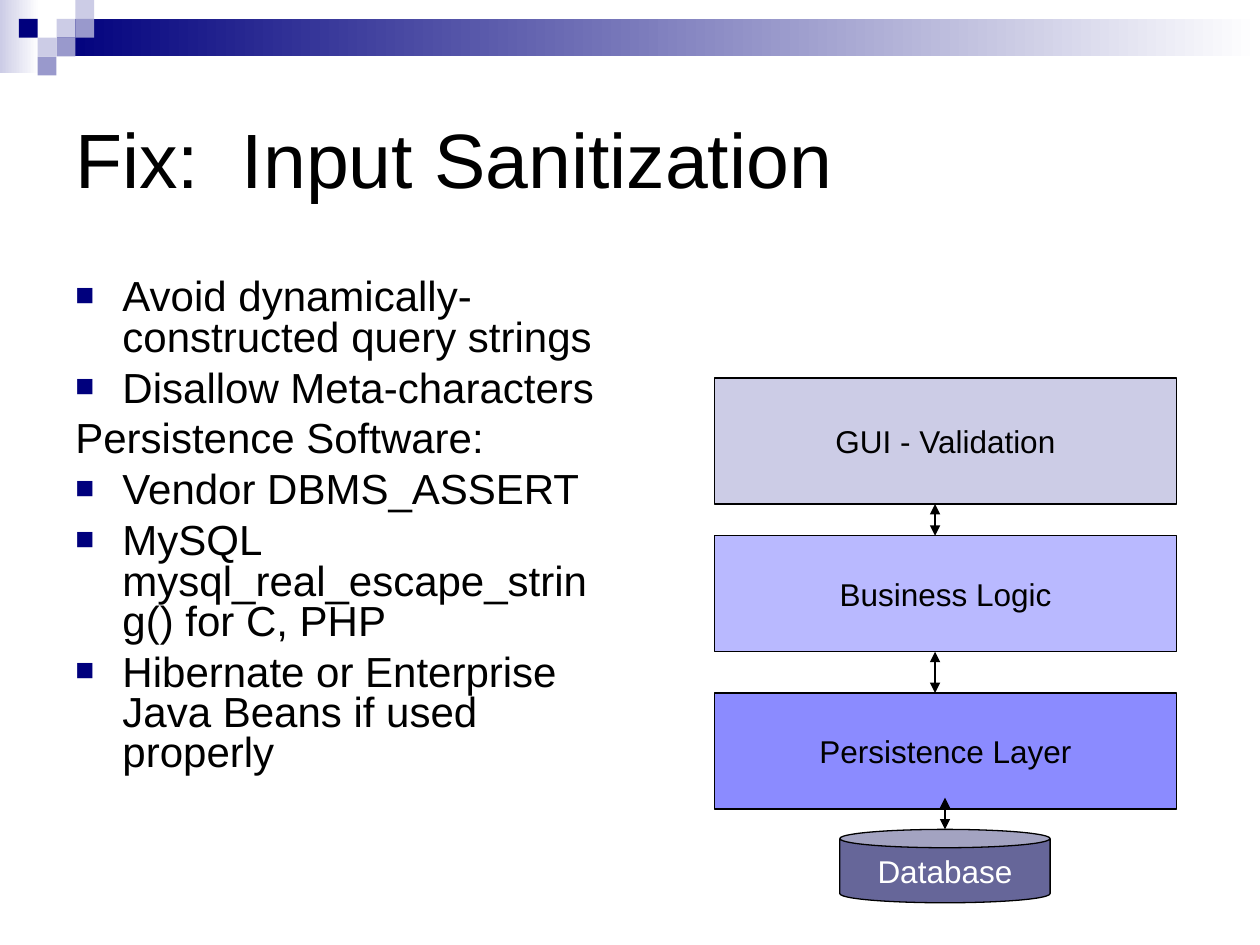
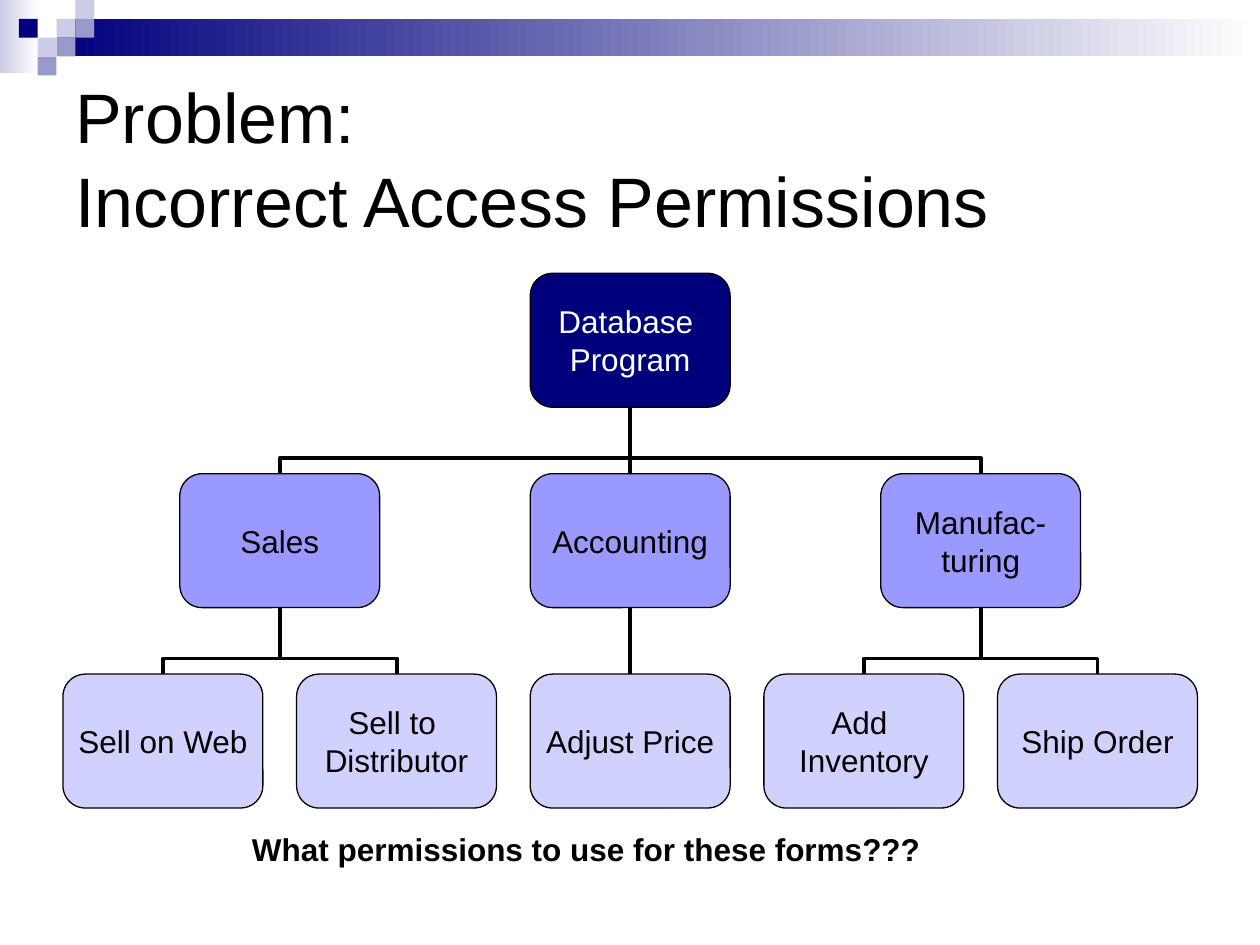
import pptx
import pptx.util
import pptx.dml.color
import pptx.enum.shapes
import pptx.enum.text
import pptx.oxml.ns
import lxml.etree

Cm = pptx.util.Cm
SHAPE = pptx.enum.shapes.MSO_SHAPE
CONNECTOR = pptx.enum.shapes.MSO_CONNECTOR
ANCHOR = pptx.enum.text.MSO_ANCHOR
ALIGN = pptx.enum.text.PP_ALIGN

# Shared look
FONT = "Arial"
BLACK, WHITE, NAVY = "000000", "FFFFFF", "00007D"
PALE, SLATE = "CCCCE6", "9999CC"
TILE = 0.38
TILES = [(1, 1, NAVY), (3, 1, PALE), (4, 0, PALE), (4, 1, SLATE),
         (2, 2, PALE), (3, 2, SLATE), (2, 3, SLATE)]  # column, row, colour

# Slide 1: text (bulleted or not), layers and arrows
FIXES = [
    ("Avoid dynamically-constructed query strings", True),
    ("Disallow Meta-characters", True),
    ("Persistence Software:", False),
    ("Vendor DBMS_ASSERT", True),
    ("MySQL mysql_real_escape_string() for C, PHP", True),
    ("Hibernate or Enterprise Java Beans if used properly", True),
]
LAYERS = [("GUI - Validation", 7.62, 2.54, PALE),
          ("Business Logic", 10.8, 2.34, "B9B9FF"),
          ("Persistence Layer", 13.97, 2.34, "8B8BFF")]  # text, top, height, colour
LAYER_LEFT, LAYER_WIDTH = 14.4, 9.32
ARROWS = [(18.85, 10.16, 10.8), (18.85, 13.14, 13.97), (19.05, 16.08, 16.72)]

# Slide 2: the tree, each department with its forms
ROOT = ["Database ", "Program"]
DEPARTMENTS = [
    (["Sales"], [["Sell on Web"], ["Sell to ", "Distributor"]]),
    (["Accounting"], [["Adjust Price"]]),
    (["Manufac-", "turing"], [["Add ", "Inventory"], ["Ship Order"]]),
]
NODE_WIDTH, NODE_HEIGHT = 4.03, 2.7
TREE_LEFT, TREE_TOP = 1.27, 5.51
COLUMN_STEP, ROW_STEP = 4.71, 4.04
LEVEL_COLOURS = [NAVY, "9999FF", "D1D1FF"]


def colour(value):
    return pptx.dml.color.RGBColor.from_string(value)


def add_xml(parent, tag, **attributes):
    return lxml.etree.SubElement(parent, pptx.oxml.ns.qn(tag), attributes)


def write(box, lines, size=18, ink=BLACK, bold=False, align=ALIGN.LEFT,
          anchor=ANCHOR.TOP, wrap=True, inset=(0.25, 0.13)):
    """Fill a box with paragraphs and return them."""
    frame = box.text_frame
    frame.word_wrap = wrap
    frame.vertical_anchor = anchor
    frame.margin_left = frame.margin_right = Cm(inset[0])
    frame.margin_top = frame.margin_bottom = Cm(inset[1])
    for index, line in enumerate(lines):
        para = frame.add_paragraph() if index else frame.paragraphs[0]
        para.text = line
        para.alignment = align
        for span in para.runs:
            span.font.name = FONT
            span.font.size = pptx.util.Pt(size)
            span.font.bold = bold
            span.font.color.rgb = colour(ink)
    return frame.paragraphs


def add_text(page, left, top, width, height, lines, **style):
    box = page.shapes.add_textbox(Cm(left), Cm(top), Cm(width), Cm(height))
    return write(box, lines, **style)


def add_box(page, kind, left, top, width, height, fill, fade=False, outline=True):
    box = page.shapes.add_shape(kind, Cm(left), Cm(top), Cm(width), Cm(height))
    box.shadow.inherit = False
    if fade:
        box.fill.gradient()
        box.fill.gradient_angle = 0
        for stop, value, place in zip(box.fill.gradient_stops, (fill, WHITE), (0, 1)):
            stop.color.rgb = colour(value)
            stop.position = place
    else:
        box.fill.solid()
        box.fill.fore_color.rgb = colour(fill)
    if outline:
        box.line.color.rgb = colour(BLACK)
        box.line.width = pptx.util.Pt(0.75)
    else:
        box.line.fill.background()
    return box


def add_label_box(page, kind, place, lines, fill, ink=BLACK, **style):
    box = add_box(page, kind, *place, fill)
    write(box, lines, ink=ink, align=ALIGN.CENTER, anchor=ANCHOR.MIDDLE,
          wrap=False, **style)
    return box


def add_line(page, kind, start, end, weight):
    line = page.shapes.add_connector(kind, *start, *end)
    line.line.color.rgb = colour(BLACK)
    line.line.width = pptx.util.Pt(weight)
    add_xml(line.element.spPr, "a:effectLst")
    return line


def add_double_arrow(page, x, top, bottom):
    arrow = add_line(page, CONNECTOR.STRAIGHT, (Cm(x), Cm(top)), (Cm(x), Cm(bottom)), 0.75)
    outline = arrow.line._get_or_add_ln()
    for end in ("a:headEnd", "a:tailEnd"):
        add_xml(outline, end, type="triangle")


def link(page, child, parent):
    """Join the top of a child to the bottom of its parent."""
    start_x, start_y = child.left + child.width // 2, child.top
    end_x, end_y = parent.left + parent.width // 2, parent.top + parent.height
    across, rise = abs(end_x - start_x), start_y - end_y
    straight = across < Cm(0.05)
    kind = CONNECTOR.STRAIGHT if straight else CONNECTOR.ELBOW
    line = add_line(page, kind, (start_x, start_y), (end_x, end_y), 2.25)
    line.begin_connect(child, 0)
    line.end_connect(parent, 2)
    if straight:
        return
    # Turn the elbow upright so that it leaves the child vertically
    line.left = (start_x + end_x - rise) // 2
    line.top = (start_y + end_y - across) // 2
    line.width, line.height = rise, across
    frame = line.element.spPr.find(pptx.oxml.ns.qn("a:xfrm"))
    from_left = start_x < end_x
    frame.set("rot", str((90 if from_left else 270) * 60000))
    frame.set("flipH", "1" if from_left else "0")
    frame.set("flipV", "1")
    guides = line.element.spPr.find(".//" + pptx.oxml.ns.qn("a:avLst"))
    add_xml(guides, "a:gd", name="adj1", fmla="val 23500")


def add_page(deck, title, size):
    page = deck.slides.add_slide(deck.slide_layouts[6])
    add_box(page, SHAPE.RECTANGLE, 0, 0, 0.79, 1.47, PALE, fade=True, outline=False)
    add_box(page, SHAPE.RECTANGLE, 3 * TILE, TILE, 24.26, 2 * TILE, NAVY,
            fade=True, outline=False)
    for column, row, fill in TILES:
        add_box(page, SHAPE.RECTANGLE, column * TILE, row * TILE, TILE, TILE, fill,
                outline=False)
    add_text(page, 1.27, 1.27, 22.86, 3.81, [title], size=size, anchor=ANCHOR.MIDDLE)
    return page


def add_bullet(para):
    properties = para._p.get_or_add_pPr()
    add_xml(add_xml(properties, "a:buClr"), "a:srgbClr", val=NAVY)
    add_xml(properties, "a:buSzPct", val="75000")
    add_xml(properties, "a:buFont", typeface=FONT)
    add_xml(properties, "a:buChar", char="■")


def build_fix_page(deck):
    page = add_page(deck, "Fix:  Input Sanitization", 44)
    paras = add_text(page, 1.27, 5.51, 11.23, 10.8, [text for text, _ in FIXES], size=24)
    for index, (para, (_, bulleted)) in enumerate(zip(paras, FIXES)):
        para.line_spacing = 0.8
        para.space_before = pptx.util.Pt(6 if index else 0)
        properties = para._p.get_or_add_pPr()
        properties.set("marL", str(Cm(0.95)))
        properties.set("indent", str(-Cm(0.95)))
        if bulleted:
            add_bullet(para)
    # Layers above the database
    for text, top, height, fill in LAYERS:
        add_label_box(page, SHAPE.RECTANGLE, (LAYER_LEFT, top, LAYER_WIDTH, height),
                      [text], fill)
    add_label_box(page, SHAPE.CAN, (16.93, 16.72, 4.24, 1.48), ["Database"],
                  "666699", ink=WHITE)
    for x, top, bottom in ARROWS:
        add_double_arrow(page, x, top, bottom)


def add_node(page, lines, column, level):
    place = (TREE_LEFT + column * COLUMN_STEP, TREE_TOP + level * ROW_STEP,
             NODE_WIDTH, NODE_HEIGHT)
    return add_label_box(page, SHAPE.ROUNDED_RECTANGLE, place, lines,
                         LEVEL_COLOURS[level], ink=BLACK if level else WHITE,
                         inset=(0, 0))


def build_permissions_page(deck):
    page = add_page(deck, "Problem:\vIncorrect Access Permissions", 40)
    root = add_node(page, ROOT, 2, 0)
    column = 0
    for name, forms in DEPARTMENTS:
        department = add_node(page, name, column + (len(forms) - 1) / 2, 1)
        link(page, department, root)
        for form in forms:
            link(page, add_node(page, form, column, 2), department)
            column += 1
    add_text(page, 4.83, 16.61, 14.4, 1.02,
             ["What permissions to use for these forms???"], bold=True)


def main():
    deck = pptx.Presentation()
    deck.slide_width, deck.slide_height = Cm(25.4), Cm(19.05)
    build_fix_page(deck)
    build_permissions_page(deck)
    deck.save("out.pptx")


if __name__ == "__main__":
    main()
